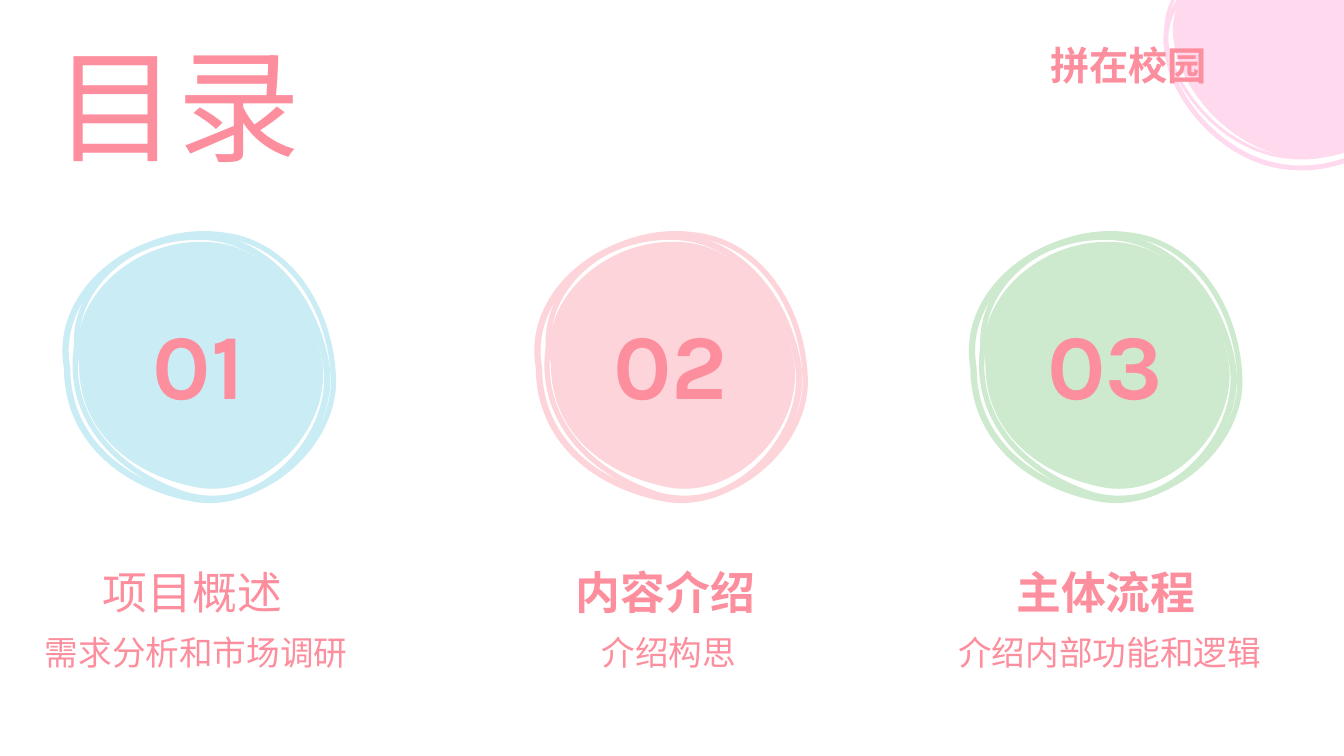
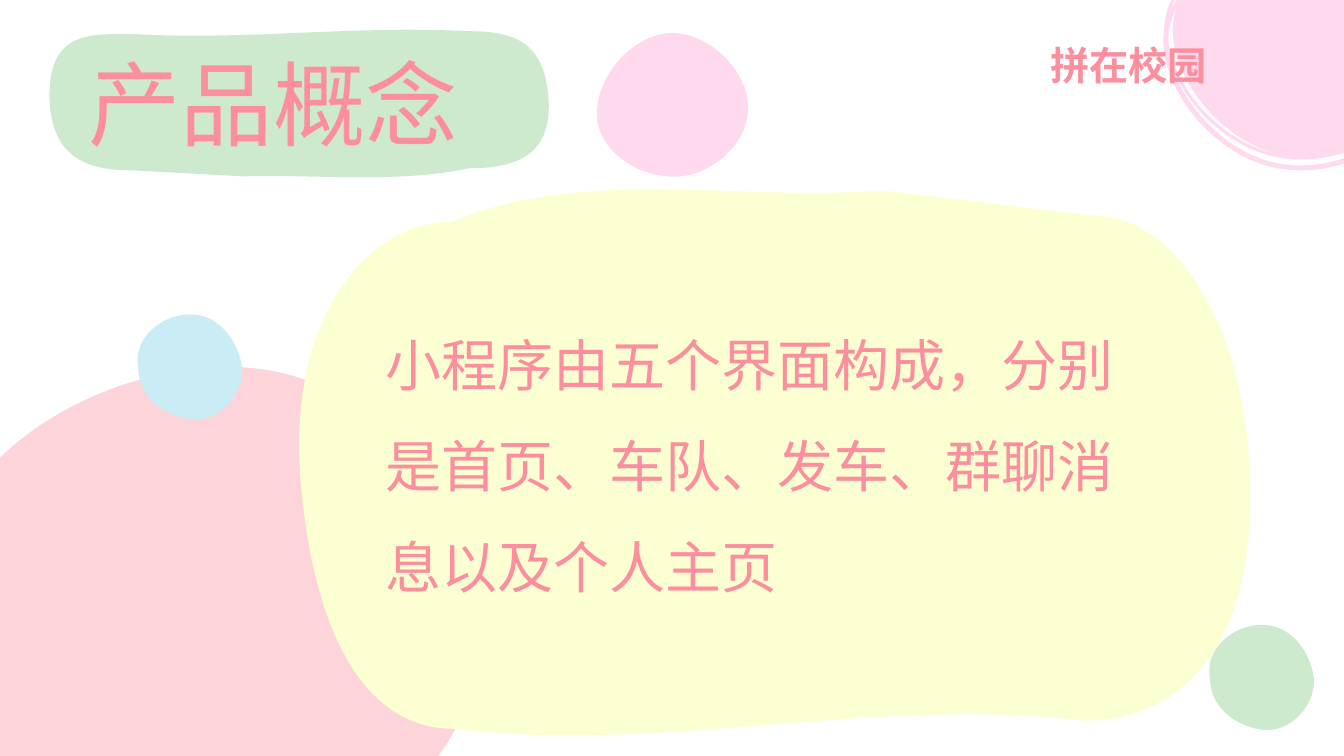
"""Build a contents slide and a product concept slide in a soft pastel style."""
from dataclasses import dataclass

from pptx import Presentation
from pptx import util as u
from pptx.dml.color import RGBColor
from pptx.enum import lang, text
from pptx.oxml.ns import qn
from pptx.oxml.xmlchemy import OxmlElement

Point = tuple[float, float]

CORAL = "FD8E9D"
BLUE = "CAECF5"
ROSE = "FDD4DA"
GREEN = "CDEACE"
PINK = "FFD9ED"
CREAM = "FCFFD2"
CHINESE_FONT = "Noto Sans CJK SC"

ROUND = [(0.01, 0.5), (-0.04, 0.23), (0.23, 0), (0.5, 0), (0.76, -0.01),
         (0.96, 0.23), (1, 0.5), (1.03, 0.75), (0.78, 1.04), (0.5, 1),
         (0.22, 0.95), (0.01, 0.77), (0.01, 0.5)]
CORNER = [(11.66, 0.11), (11.8, -0.38), (12.63, -0.65), (13.26, -0.46),
          (13.9, -0.28), (14.24, 0.33), (14.09, 0.83), (13.95, 1.33),
          (13.28, 1.7), (12.64, 1.52), (12.01, 1.34), (11.51, 0.61),
          (11.66, 0.11)]
HILL = [(3.15, 3.82), (4.29, 4.36), (5.09, 6), (4.55, 7.16), (4.01, 8.33),
        (2.19, 8.97), (1.04, 8.44), (-0.1, 7.9), (-0.99, 6.32),
        (-0.45, 5.16), (0.09, 3.99), (2, 3.29), (3.15, 3.82)]
PEBBLE = [(6.56, 0.34), (6.92, 0.26), (7.34, 0.6), (7.41, 0.96),
          (7.48, 1.32), (7.18, 1.66), (6.82, 1.74), (6.45, 1.81),
          (6, 1.58), (5.93, 1.22), (5.86, 0.86), (6.19, 0.41), (6.56, 0.34)]
PANEL = [(10.75, 7.15), (8.68, 6.9), (6.61, 7.48), (4.5, 7.23),
         (3.67, 7.23), (3.12, 6.39), (2.98, 4.76), (2.85, 3.13),
         (3.66, 2.2), (4.48, 2.2), (5.8, 1.65), (7.33, 2), (8.75, 1.89),
         (8.75, 1.89), (10.85, 2.14), (10.85, 2.14), (11.68, 2.14),
         (12.4, 3.29), (12.4, 4.93), (12.4, 6.58), (11.58, 7.15),
         (10.75, 7.15)]
TITLE_BAND = [(1.36, 0.34), (2.45, 0.4), (3.54, 0.25), (4.64, 0.31),
              (5.08, 0.31), (5.4, 0.4), (5.44, 0.98), (5.48, 1.56),
              (5.09, 1.67), (4.65, 1.67), (3.96, 1.82), (3.16, 1.73),
              (2.41, 1.75), (2.41, 1.75), (1.3, 1.69), (1.3, 1.69),
              (0.87, 1.69), (0.49, 1.57), (0.49, 0.93), (0.5, 0.29),
              (0.92, 0.34), (1.36, 0.34)]


@dataclass(frozen=True)
class Section:
    number: str
    heading: str
    caption: str
    color: str
    left: float
    centre: float
    bold: bool = True


SECTIONS = [
    Section("01", "项目概述", "需求分析和市场调研", BLUE, 0.64, 1.94, bold=False),
    Section("02", "内容介绍", "介绍构思", ROSE, 5.32, 6.63),
    Section("03", "主体流程", "介绍内部功能和逻辑", GREEN, 9.63, 11),
]


def rgb(color: str) -> RGBColor:
    return RGBColor.from_string(color)


def bend_sides(shape, anchors: list[tuple[int, int]]) -> None:
    sides = list(shape._element.iter(qn("a:lnTo")))
    for index, side in enumerate(sides):
        curve = OxmlElement("a:cubicBezTo")
        for x, y in anchors[3 * index + 1:3 * index + 4]:
            point = OxmlElement("a:pt")
            point.set("x", str(x - shape.left))
            point.set("y", str(y - shape.top))
            curve.append(point)
        side.getparent().replace(side, curve)


def add_blob(page, outline_points: list[Point], color: str, *,
             left: float = 0, top: float = 0, scale: float = 1,
             outline: float = 0, rotation: float = 0) -> None:
    anchors = [(int(u.Inches(left + scale * x)), int(u.Inches(top + scale * y)))
               for x, y in outline_points]
    builder = page.shapes.build_freeform(*anchors[0])
    builder.add_line_segments(anchors[3::3], close=True)
    shape = builder.convert_to_shape()
    bend_sides(shape, anchors)
    shape.shadow.inherit = False
    shape.rotation = rotation
    if outline:
        shape.fill.background()
        shape.line.color.rgb = rgb(color)
        shape.line.width = u.Pt(outline)
    else:
        shape.fill.solid()
        shape.fill.fore_color.rgb = rgb(color)
        shape.line.fill.background()


def add_text(page, words: str, left: float, top: float, width: float,
             height: float, *, size: float, font: str = "Karla",
             bold: bool = False, centred: bool = False,
             spacing: float = 1.2) -> None:
    box = page.shapes.add_textbox(u.Inches(left), u.Inches(top),
                                  u.Inches(width), u.Inches(height))
    box.text_frame.word_wrap = True
    para = box.text_frame.paragraphs[0]
    para.line_spacing = spacing
    para.alignment = text.PP_ALIGN.CENTER if centred else text.PP_ALIGN.LEFT
    span = para.add_run()
    span.text = words
    span.font.size = u.Pt(size)
    span.font.bold = bold
    span.font.color.rgb = rgb(CORAL)
    span.font.language_id = lang.MSO_LANGUAGE_ID.SIMPLIFIED_CHINESE
    span.font.name = font
    east_asian = OxmlElement("a:ea")
    east_asian.set("typeface", CHINESE_FONT)
    span.font._element.append(east_asian)


def add_corner(page) -> None:
    add_blob(page, CORNER, PINK, left=-0.07, top=0.1, outline=3.5)
    add_blob(page, CORNER, PINK, left=-0.07, outline=2.25)
    add_blob(page, CORNER, PINK)
    add_text(page, "拼在校园", 10.32, 0.27, 3.07, 0.66, size=28,
             font="Comic Neue", bold=True)


def add_section(page, section: Section) -> None:
    left, color = section.left, section.color
    add_blob(page, ROUND, color, left=left + 0.12, top=2.4, scale=2.44)
    add_blob(page, ROUND, color, left=left, top=2.35, scale=2.6, outline=4.5)
    add_blob(page, ROUND, color, left=left + 0.08, top=2.32, scale=2.6,
             outline=3.75, rotation=8)
    add_text(page, section.number, left + 0.07, 2.78, 2.52, 1.43, size=66,
             bold=True, centred=True)
    add_text(page, section.heading, section.centre - 1.39, 5.45, 2.72, 0.75,
             size=32, bold=section.bold, centred=True)
    add_text(page, section.caption, section.centre - 1.79, 6.3, 3.59, 0.42,
             size=24, font="Calibri", centred=True, spacing=0.8)


def build_contents(page) -> None:
    add_text(page, "目录", 0.44, -0.05, 2.68, 1.9, size=88)
    for section in SECTIONS:
        add_section(page, section)
    add_corner(page)


def build_concept(page) -> None:
    add_blob(page, HILL, ROSE)
    add_blob(page, PANEL, CREAM)
    add_text(page, "小程序由五个界⾯构成，分别是⾸⻚、⻋队、发⻋、群聊消息以及个⼈主⻚",
             3.73, 2.9, 7.75, 3.42, size=40, font=CHINESE_FONT, spacing=1.5)
    add_corner(page)
    add_blob(page, TITLE_BAND, GREEN)
    add_text(page, "产品概念", 0.78, 0.2, 6.4, 1.43, size=66)
    add_blob(page, PEBBLE, PINK)
    add_blob(page, ROUND, BLUE, left=1.36, top=3.12, scale=1.04)
    add_blob(page, ROUND, GREEN, left=11.99, top=6.2, scale=1.04)


def main() -> None:
    deck = Presentation()
    deck.slide_width, deck.slide_height = u.Inches(13.33), u.Inches(7.5)
    for build in (build_contents, build_concept):
        build(deck.slides.add_slide(deck.slide_layouts[6]))
    deck.save("out.pptx")


if __name__ == "__main__":
    main()
